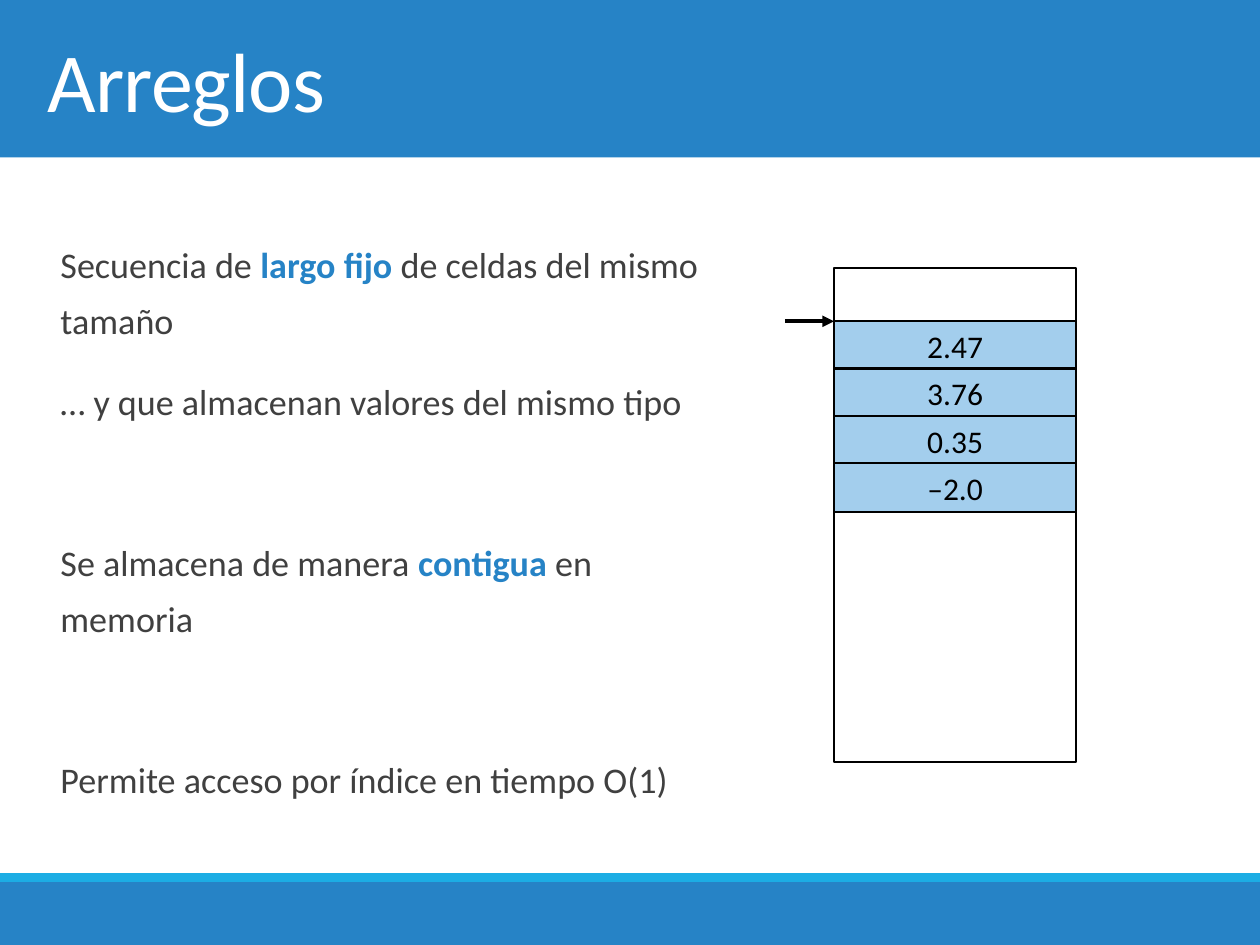
from dataclasses import dataclass

from lxml import etree
from pptx import Presentation
from pptx.dml.color import RGBColor
from pptx.enum.shapes import MSO_CONNECTOR, MSO_SHAPE
from pptx.enum.text import MSO_ANCHOR, PP_ALIGN
from pptx.oxml.ns import qn
from pptx.util import Inches, Length, Pt

BLUE = RGBColor(0x26, 0x83, 0xC6)
CYAN = RGBColor(0x1C, 0xAD, 0xE4)
PALE_BLUE = RGBColor(0xA3, 0xCE, 0xED)
GRAY = RGBColor(0x40, 0x40, 0x40)
BLACK = RGBColor(0, 0, 0)
WHITE = RGBColor(0xFF, 0xFF, 0xFF)
RECTANGLE = MSO_SHAPE.RECTANGLE
STRAIGHT = MSO_CONNECTOR.STRAIGHT
MIDDLE = MSO_ANCHOR.MIDDLE
CENTER = PP_ALIGN.CENTER

FONT = "Calibri"
SLIDE_WIDTH = Inches(10)
SLIDE_HEIGHT = Inches(7.5)
COLUMNS = 100
ROWS = 60

VALUES = ("2.47", "3.76", "0.35", "–2.0")
CELL_PITCH = 3
CELL_HEIGHT = 3.12


@dataclass(frozen=True)
class Box:
    column: float
    row: float
    columns: float
    rows: float


@dataclass(frozen=True)
class Statement:
    before: str
    strong: str = ""
    after: str = ""
    space_before: float = 0


TITLE_BAND = Box(0, 0, COLUMNS, 10)
FOOTER_BAND = Box(0, 56, COLUMNS, 4)
FOOTER_ACCENT = Box(0, 55.44, COLUMNS, 0.56)
TITLE = Box(2.8, 0, 94.5, 10)
BODY = Box(2.8, 11.28, 55.5, 42.88)
MEMORY = Box(66.2, 17.04, 19.2, 31.36)
FIRST_CELL_ROW = 20.4
ARROW_START = 62.3

STATEMENTS = (
    Statement("Secuencia de ", "largo fijo", " de celdas del mismo tamaño"),
    Statement("… y que almacenan valores del mismo tipo", space_before=12),
    Statement("Se almacena de manera ", "contigua", " en memoria", 58),
    Statement("Permite acceso por índice en tiempo O(1)", space_before=58),
)


def across(columns: float) -> Length:
    return Length(round(SLIDE_WIDTH * columns / COLUMNS))


def down(rows: float) -> Length:
    return Length(round(SLIDE_HEIGHT * rows / ROWS))


def place(box: Box) -> tuple[Length, Length, Length, Length]:
    return across(box.column), down(box.row), across(box.columns), down(box.rows)


def style_run(run, size: float, color: RGBColor, bold: bool = False) -> None:
    run.font.name = FONT
    run.font.size = Pt(size)
    run.font.bold = bold
    run.font.color.rgb = color


def add_rectangle(slide, box: Box, fill: RGBColor, outlined: bool = False):
    shape = slide.shapes.add_shape(RECTANGLE, *place(box))
    shape.shadow.inherit = False
    shape.fill.solid()
    shape.fill.fore_color.rgb = fill
    if outlined:
        shape.line.color.rgb = BLACK
        shape.line.width = Pt(1.25)
    else:
        shape.line.fill.background()
    return shape


def add_cell(slide, box: Box, value: str) -> None:
    text_frame = add_rectangle(slide, box, PALE_BLUE, outlined=True).text_frame
    text_frame.text = value
    text_frame.vertical_anchor = MIDDLE
    paragraph = text_frame.paragraphs[0]
    paragraph.alignment = CENTER
    style_run(paragraph.runs[0], 18, BLACK)


def add_text_frame(slide, box: Box):
    text_frame = slide.shapes.add_textbox(*place(box)).text_frame
    text_frame.word_wrap = True
    text_frame.vertical_anchor = MIDDLE
    return text_frame


def add_title(slide, text: str) -> None:
    text_frame = add_text_frame(slide, TITLE)
    text_frame.text = text
    run = text_frame.paragraphs[0].runs[0]
    style_run(run, 48, WHITE)
    run.font._element.set("spc", "-50")


def add_statements(slide) -> None:
    text_frame = add_text_frame(slide, BODY)
    text_frame.margin_left = across(2)
    for index, statement in enumerate(STATEMENTS):
        paragraph = text_frame.add_paragraph() if index else text_frame.paragraphs[0]
        paragraph.line_spacing = 1.3
        paragraph.space_before = Pt(statement.space_before)
        paragraph.space_after = Pt(2)
        parts = (
            (statement.before, False),
            (statement.strong, True),
            (statement.after, False),
        )
        for text, strong in parts:
            if text:
                run = paragraph.add_run()
                run.text = text
                style_run(run, 20.6, BLUE if strong else GRAY, strong)


def add_arrow(slide, start: float, end: float, row: float) -> None:
    arrow = slide.shapes.add_connector(
        STRAIGHT, across(start), down(row), across(end), down(row)
    )
    arrow.line.color.rgb = BLACK
    arrow.line.width = Pt(2.25)
    etree.SubElement(arrow.line._get_or_add_ln(), qn("a:tailEnd"), type="triangle")
    etree.SubElement(arrow._element.spPr, qn("a:effectLst"))


def main() -> None:
    presentation = Presentation()
    presentation.slide_width = SLIDE_WIDTH
    presentation.slide_height = SLIDE_HEIGHT
    slide = presentation.slides.add_slide(presentation.slide_layouts[6])
    add_rectangle(slide, TITLE_BAND, BLUE)
    add_rectangle(slide, FOOTER_BAND, BLUE)
    add_rectangle(slide, FOOTER_ACCENT, CYAN)
    add_title(slide, "Arreglos")
    add_statements(slide)
    add_rectangle(slide, MEMORY, WHITE, outlined=True)
    for index, value in enumerate(VALUES):
        row = FIRST_CELL_ROW + index * CELL_PITCH
        add_cell(slide, Box(MEMORY.column, row, MEMORY.columns, CELL_HEIGHT), value)
    add_arrow(slide, ARROW_START, MEMORY.column, FIRST_CELL_ROW)
    presentation.save("out.pptx")


if __name__ == "__main__":
    main()
